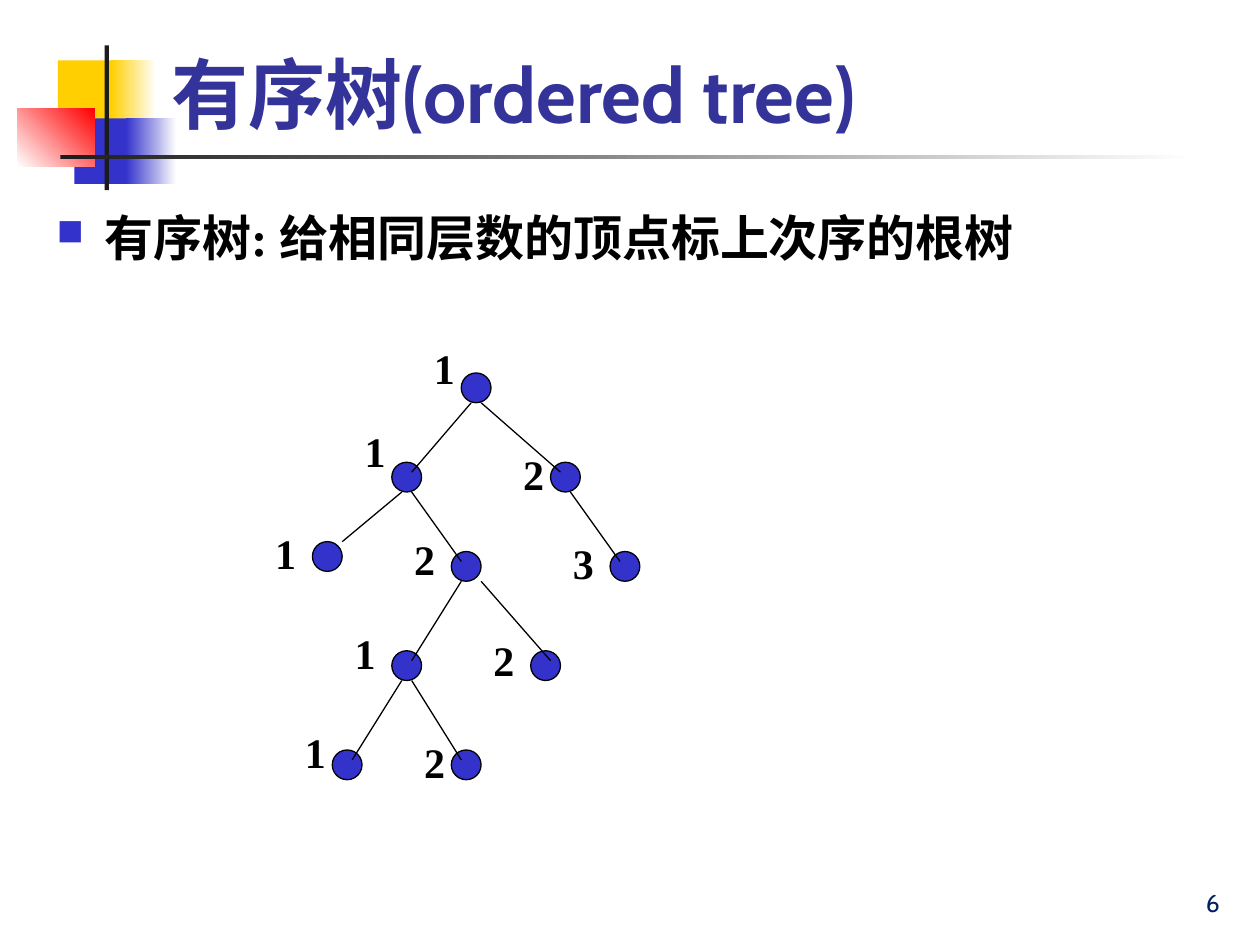
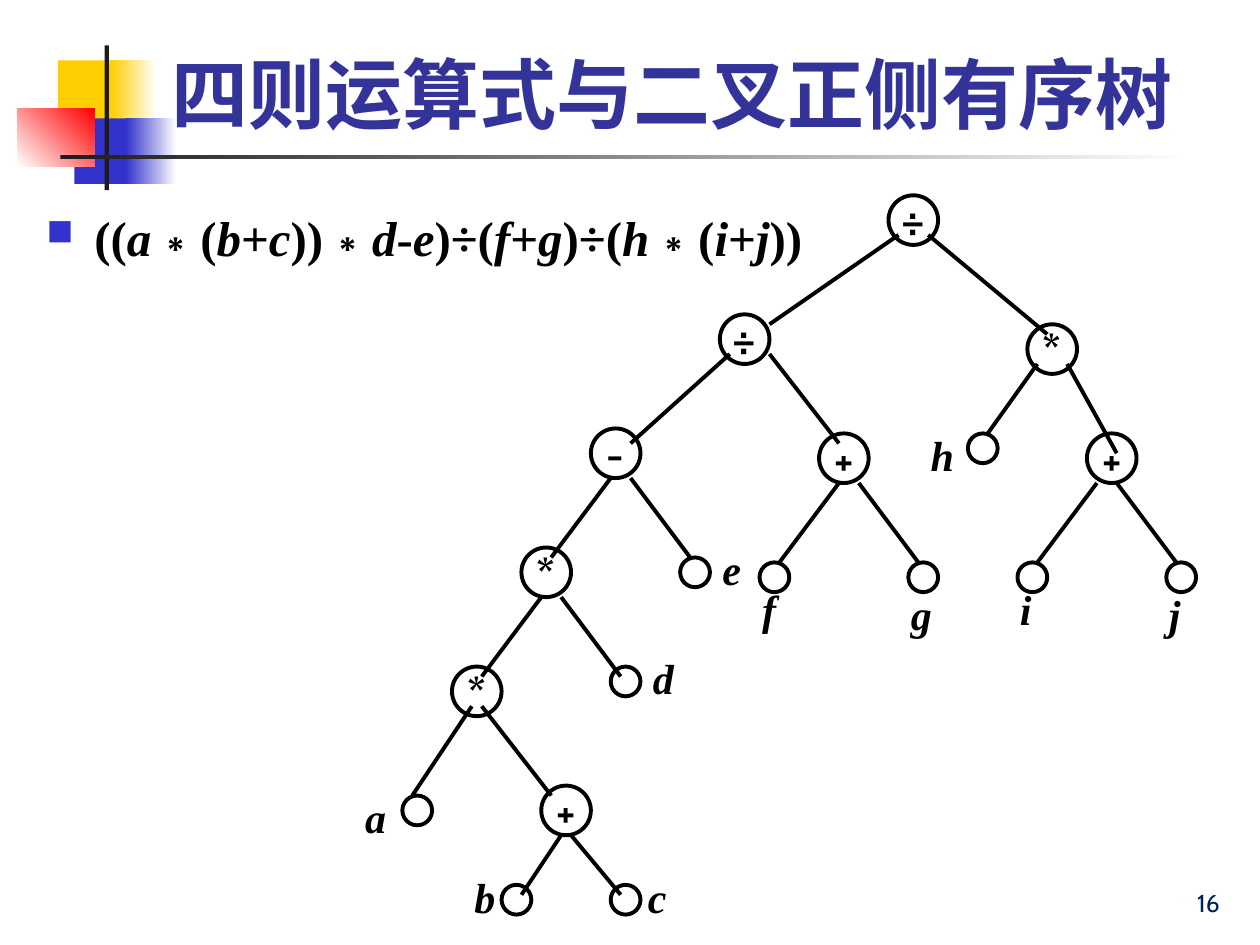
from itertools import groupby
from lxml.etree import SubElement
from pptx import Presentation
from pptx.dml.color import RGBColor
from pptx.enum.shapes import MSO_CONNECTOR as Connector, MSO_SHAPE as Shape
from pptx.enum.text import MSO_ANCHOR as Anchor, PP_ALIGN as Align
from pptx.oxml import parse_xml
from pptx.oxml.ns import nsdecls, qn
from pptx.util import Inches, Mm, Pt

WIDTH, HEIGHT = Inches(10), Inches(7.5)
GRID = Mm(2)
BLUE, YELLOW, RED = "3333CC", "FFCF01", "FF0000"
WHITE, BLACK, CHARCOAL = "FFFFFF", "000000", "1C1C1C"
TITLE_COLOR, NUMBER_COLOR = "333399", "002060"
SANS, SERIF = "Cabin", "Times New Roman"
LEAF_SIZE, OPERATOR_SIZE = 3, 5
LABEL_WIDTH, LABEL_HEIGHT = 4.7, 6.35

BANDS = [
    ((4.6, 6.4, 4.8, 6.93), (YELLOW,), 0),
    ((8.8, 6.4, 3.6, 6.93), (YELLOW, WHITE), 0),
    ((5.9, 12.53, 4.6, 6.93), (BLUE,), 0),
    ((10, 12.53, 4, 6.93), (BLUE, WHITE), 0),
    ((1.4, 11.47, 6.1, 6.13), (WHITE, RED), 45),
    ((8.3, 4.8, 0.35, 15.33), (CHARCOAL,), 0),
    ((4.8, 16.4, 90, 0.42), (CHARCOAL, WHITE), 0),
]

ORDERED_NODES = [
    ("1", 15, 0, -4, -3.7), ("1", 8, 9, -4, -4.3), ("2", 24, 9, -4, -2),
    ("1", 0, 17, -5, -2), ("2", 14, 18, -5, -2.4), ("3", 30, 18, -5, -2),
    ("1", 8, 28, -5, -3), ("2", 22, 28, -5, -2.3),
    ("1", 2, 38, -4, -3), ("2", 14, 38, -4, -2),
]
ORDERED_EDGES = [
    (16, 3, 10, 10), (17, 3, 25, 10), (9, 12, 3, 17),
    (10, 12, 15, 19), (26, 12, 31, 19), (15, 21, 10, 29),
    (17, 21, 24, 29), (9, 31, 4, 39), (10, 31, 15, 39),
]

OPERATORS = [
    ("÷", 54, 0), ("÷", 37, 12), ("*", 68, 13),
    ("-", 24, 23.5), ("+", 47, 24), ("+", 74, 24),
    ("*", 17, 35.5), ("*", 10, 47.5), ("+", 19, 59.5),
]
OPERANDS = [
    ("a", 5, 60.5, -5, -1), ("b", 15, 69.5, -4, -2), ("c", 26, 69.5, 2.5, -2),
    ("d", 26, 47.5, 3, -2), ("e", 33, 36.5, 3, -2), ("f", 41, 37, -1, 1.5),
    ("g", 56, 37, -1, 2), ("h", 62, 24, -5, -1), ("i", 67, 37, -1, 1.5),
    ("j", 82, 37, -1, 2),
]
EXPRESSION_EDGES = [
    (55, 4, 42, 13), (58, 4, 70, 14), (38, 16, 28, 25), (42, 16, 49, 25),
    (69, 17, 64, 24), (72, 17, 77, 26), (26, 28.5, 20, 36.5), (28, 28.5, 34, 36.5),
    (49, 29, 43, 37), (51, 29, 57, 37), (75, 29, 69, 37), (77, 29, 83, 37),
    (19, 40.5, 13, 48.5), (21, 40.5, 27, 48.5), (12, 51.5, 6, 60.5),
    (13, 51.5, 20, 60.5), (21, 64.5, 17, 70.5), (22, 64.5, 27, 70.5),
]


def color(value):
    return RGBColor.from_string(value)


def share(left, top, width=0, height=0):
    return [int(part * whole / 100) for part, whole in
            zip((left, top, width, height), (WIDTH, HEIGHT, WIDTH, HEIGHT))]


def cell(origin, column, row):
    return int(origin[0] + column * GRID), int(origin[1] + row * GRID)


def write(frame, runs, size=24, font=SERIF, fill=BLACK, bold=True, align=Align.LEFT,
          anchor=Anchor.TOP, wrap=True, bullet=False, shadow=False):
    frame.word_wrap = wrap
    frame.vertical_anchor = anchor
    paragraph = frame.paragraphs[0]
    paragraph.alignment = align
    if bullet:
        add_bullet(paragraph)
    for text, italic in runs:
        run = paragraph.add_run()
        run.text = text
        run.font.size, run.font.name = Pt(size), font
        run.font.bold, run.font.italic = bold, italic
        run.font.color.rgb = color(fill)
        if shadow:
            add_text_shadow(run)


def add_bullet(paragraph):
    paragraph.line_spacing = 1.1
    properties = paragraph._p.get_or_add_pPr()
    properties.set("marL", str(Inches(0.38)))
    properties.set("indent", str(-Inches(0.38)))
    bullet_color = SubElement(properties, qn("a:buClr"))
    SubElement(bullet_color, qn("a:srgbClr"), val=BLUE)
    SubElement(properties, qn("a:buSzPct"), val="75000")
    SubElement(properties, qn("a:buChar"), char="■")


def add_text_shadow(run):
    effect = parse_xml(
        f'<a:effectLst {nsdecls("a")}><a:outerShdw dist="17961" dir="2700000">'
        f'<a:srgbClr val="{BLACK}"/></a:outerShdw></a:effectLst>')
    run.font._element.find(qn("a:solidFill")).addnext(effect)


def add_text(slide, box, runs, **text_format):
    write(slide.shapes.add_textbox(*box).text_frame, runs, **text_format)


def add_band(slide, box, colors, angle):
    shape = slide.shapes.add_shape(Shape.RECTANGLE, *box)
    shape.shadow.inherit = False
    shape.line.fill.background()
    if len(colors) == 1:
        shape.fill.solid()
        shape.fill.fore_color.rgb = color(colors[0])
        return
    shape.fill.gradient()
    shape.fill.gradient_angle = angle
    for stop, value in zip(shape.fill.gradient_stops, colors):
        stop.color.rgb = color(value)


def add_node(slide, position, size, line_width, fill=None):
    shape = slide.shapes.add_shape(Shape.OVAL, *position, size * GRID, size * GRID)
    shape.shadow.inherit = False
    shape.line.color.rgb = color(BLACK)
    shape.line.width = Pt(line_width)
    if fill:
        shape.fill.solid()
        shape.fill.fore_color.rgb = color(fill)
    else:
        shape.fill.background()
    return shape


def add_leaves(slide, origin, leaves, line_width, fill=None, italic=False):
    for label, column, row, label_column, label_row in leaves:
        add_node(slide, cell(origin, column, row), LEAF_SIZE, line_width, fill)
        corner = cell(origin, column + label_column, row + label_row)
        box = *corner, int(LABEL_WIDTH * GRID), int(LABEL_HEIGHT * GRID)
        add_text(slide, box, [(label, italic)])


def add_edges(slide, origin, edges, line_width):
    for start_column, start_row, end_column, end_row in edges:
        edge = slide.shapes.add_connector(
            Connector.STRAIGHT, *cell(origin, start_column, start_row),
            *cell(origin, end_column, end_row))
        edge.line.color.rgb = color(BLACK)
        edge.line.width = Pt(line_width)
        SubElement(edge._element.spPr, qn("a:effectLst"))


def add_ordered_tree(slide, origin):
    add_leaves(slide, origin, ORDERED_NODES, 0.75, fill=BLUE)
    add_edges(slide, origin, ORDERED_EDGES, 0.75)


def add_expression_tree(slide, origin):
    for symbol, column, row in OPERATORS:
        node = add_node(slide, cell(origin, column, row), OPERATOR_SIZE, 2.25)
        write(node.text_frame, [(symbol, False)], font=SANS, align=Align.CENTER,
              anchor=Anchor.MIDDLE, wrap=False)
    add_leaves(slide, origin, OPERANDS, 2.25, italic=True)
    add_edges(slide, origin, EXPRESSION_EDGES, 2.25)


def formula_runs(formula):
    return [("".join(group), italic) for italic, group in groupby(formula, str.isalpha)]


def add_slide(presentation, title, number, body_box, body_runs):
    slide = presentation.slides.add_slide(presentation.slide_layouts[6])
    for box, colors, angle in BANDS:
        add_band(slide, share(*box), colors, angle)
    add_text(slide, share(12.6, 1.07, 85.2, 14.27), [(title, False)], size=44, font=SANS,
             fill=TITLE_COLOR, anchor=Anchor.BOTTOM, shadow=True)
    add_text(slide, share(*body_box), body_runs, size=28, bullet=True)
    add_text(slide, share(77, 91.07, 20.8, 6.67), [(number, False)], size=14, font=SANS,
             fill=NUMBER_COLOR, bold=False, align=Align.RIGHT, anchor=Anchor.BOTTOM)
    return slide


def main():
    presentation = Presentation()
    presentation.slide_width, presentation.slide_height = WIDTH, HEIGHT

    slide = add_slide(presentation, "有序树(ordered tree)", "6", (3.5, 20.67, 92.9, 76.67),
                      [("有序树: 给相同层数的顶点标上次序的根树", False)])
    add_ordered_tree(slide, share(24.8, 39.47))

    slide = add_slide(presentation, "四则运算式与二叉正侧有序树", "16", (2.7, 20.67, 92.9, 9.47),
                      formula_runs("((a∗(b+c))∗d-e)÷(f+g)÷(h∗(i+j))"))
    add_expression_tree(slide, share(28, 20.67))

    presentation.save("out.pptx")


if __name__ == "__main__":
    main()
